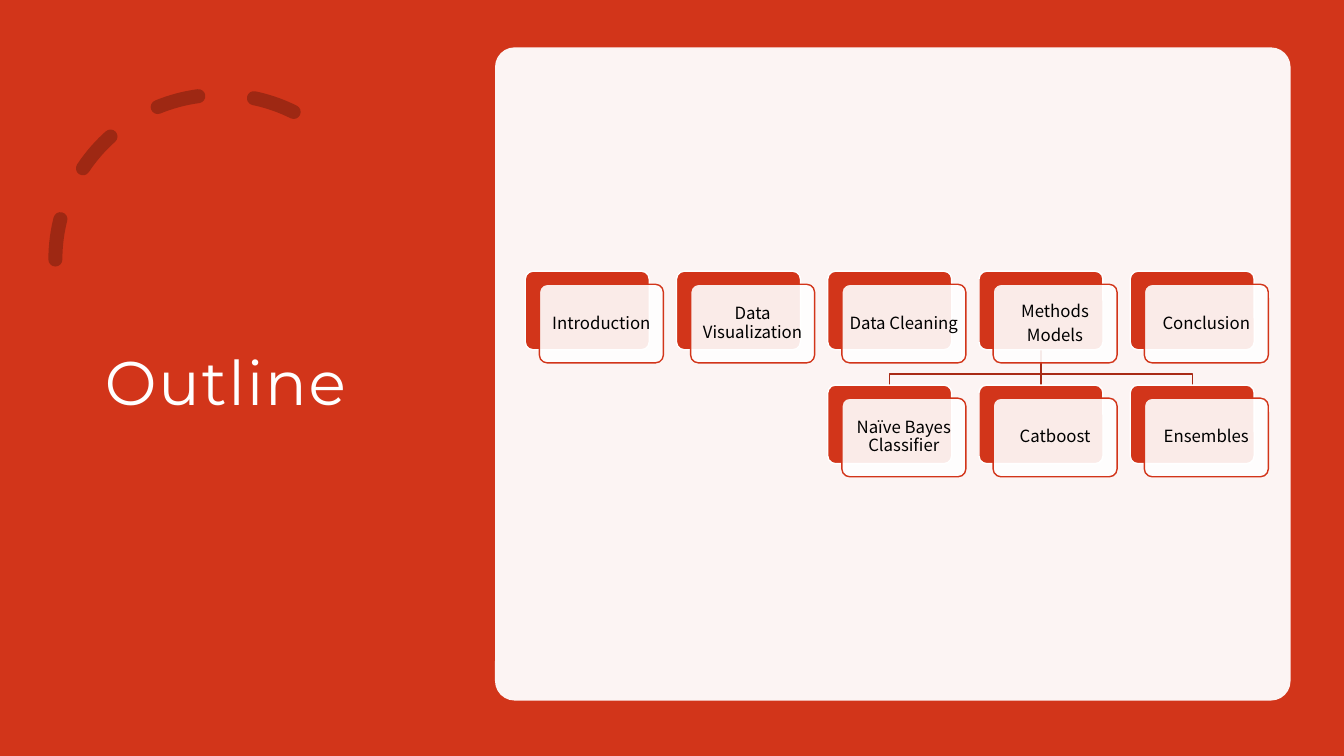
"""Build the outline slide with its two rows of topic cards."""
from dataclasses import dataclass

from lxml.etree import SubElement
from pptx import Presentation
from pptx.dml.color import RGBColor
from pptx.enum.dml import MSO_LINE as Dash
from pptx.enum.shapes import MSO_CONNECTOR as Link, MSO_SHAPE as Kind
from pptx.enum.text import MSO_ANCHOR as Anchor, PP_ALIGN as Align
from pptx.oxml.ns import qn
from pptx.shapes.autoshape import Shape
from pptx.slide import Slide
from pptx.util import Inches, Pt

RED, DARK, WHITE, BLACK = "D2351A", "9E2813", "FFFFFF", "000000"
LINE = "A82A15"
LEFT, TOP = 5.21, 2.69
STEP_X, STEP_Y = 1.5, 1.13
WIDE, HIGH = 1.23, 0.78
SHIFT_X, SHIFT_Y = 0.14, 0.13


@dataclass
class Topic:
    text: str
    col: int
    row: int = 0

    @property
    def left(self) -> float:
        return LEFT + self.col * STEP_X

    @property
    def top(self) -> float:
        return TOP + self.row * STEP_Y

    @property
    def mid(self) -> float:
        return self.left + WIDE / 2


METHODS = Topic("Methods\nModels", 3)
BAYES = Topic("Naïve Bayes Classifier", 2, 1)
BOOST = Topic("Catboost", 3, 1)
GROUP = Topic("Ensembles", 4, 1)
TOPICS = [
    Topic("Introduction", 0),
    Topic("Data Visualization", 1),
    Topic("Data Cleaning", 2),
    METHODS,
    BAYES,
    BOOST,
    GROUP,
    Topic("Conclusion", 4),
]


def color(code: str) -> RGBColor:
    return RGBColor.from_string(code)


def paint(shape: Shape, fill: str, line: str = "", alpha: int = 100) -> None:
    shape.shadow.inherit = False
    shape.fill.solid()
    shape.fill.fore_color.rgb = color(fill)
    if alpha < 100:
        tone = shape._element.spPr.find(qn("a:solidFill"))[0]
        SubElement(tone, qn("a:alpha")).set("val", str(alpha * 1000))
    if line:
        shape.line.color.rgb = color(line)
        shape.line.width = Pt(1)
    else:
        shape.line.fill.background()


def add_round(slide: Slide, left: float, top: float, wide: float,
              high: float, curve: float) -> Shape:
    shape = slide.shapes.add_shape(Kind.ROUNDED_RECTANGLE, Inches(left),
                                   Inches(top), Inches(wide), Inches(high))
    shape.adjustments[0] = curve
    return shape


def add_arc(slide: Slide) -> None:
    arc = slide.shapes.add_shape(Kind.ARC, Inches(0.55), Inches(0.94),
                                 Inches(3.27), Inches(3.27))
    arc.adjustments[0] = 146.13
    arc.adjustments[1] = 0
    arc.shadow.inherit = False
    arc.fill.background()
    arc.line.color.rgb = color(DARK)
    arc.line.width = Pt(10)
    arc.line.dash_style = Dash.DASH
    arc.line._get_or_add_ln().set("cap", "rnd")
    arc._element.spPr.xfrm.set("flipH", "1")


def add_title(slide: Slide) -> None:
    box = slide.shapes.add_textbox(Inches(0.92), Inches(0.7),
                                   Inches(3.23), Inches(6.09))
    frame = box.text_frame
    frame.text = "Outline"
    frame.word_wrap = True
    frame.vertical_anchor = Anchor.MIDDLE
    frame.margin_left = frame.margin_right = frame.margin_top = Inches(0.12)
    frame.margin_bottom = Inches(0.1)
    para = frame.paragraphs[0]
    para.line_spacing = 1.05
    font = para.runs[0].font
    font.name, font.size = "Montserrat", Pt(44)
    font.color.rgb = color(WHITE)
    font._element.set("spc", "130")


def add_elbow(slide: Slide, start: Topic, end: Topic) -> None:
    base, bend = start.top + HIGH, start.top + 1.02
    pen = slide.shapes.build_freeform(Inches(start.mid), Inches(base))
    pen.add_line_segments(
        [(Inches(x), Inches(y)) for x, y in
         ((start.mid, bend), (end.mid, bend), (end.mid, end.top))],
        close=False)
    elbow = pen.convert_to_shape()
    elbow.shadow.inherit = False
    elbow.fill.background()
    elbow.line.color.rgb = color(LINE)
    elbow.line.width = Pt(1)


def add_card(slide: Slide, topic: Topic) -> Shape:
    back = add_round(slide, topic.left, topic.top, WIDE, HIGH, 0.1)
    paint(back, RED, WHITE)
    front = add_round(slide, topic.left + SHIFT_X, topic.top + SHIFT_Y,
                      WIDE, HIGH, 0.1)
    paint(front, WHITE, RED, 90)
    frame = front.text_frame
    frame.text = topic.text
    frame.word_wrap = True
    frame.vertical_anchor = Anchor.MIDDLE
    frame.margin_left = frame.margin_right = Inches(0.04)
    frame.margin_top = frame.margin_bottom = Inches(0.04)
    for para in frame.paragraphs:
        para.alignment = Align.CENTER
        para.line_spacing = 0.9
        para.space_after = Pt(4.2)
        font = para.runs[0].font
        font.name, font.size = "Noto Sans CJK SC", Pt(12)
        font.color.rgb = color(BLACK)
    return back


def main() -> None:
    deck = Presentation()
    deck.slide_width, deck.slide_height = Inches(13.33), Inches(7.5)
    slide = deck.slides.add_slide(deck.slide_layouts[6])
    slide.background.fill.solid()
    slide.background.fill.fore_color.rgb = color(RED)
    add_arc(slide)
    add_title(slide)
    panel = add_round(slide, 4.91, 0.47, 7.89, 6.48, 0.03)
    paint(panel, WHITE, alpha=95)

    add_elbow(slide, METHODS, GROUP)
    stem = slide.shapes.add_connector(
        Link.STRAIGHT, Inches(METHODS.mid), Inches(METHODS.top + HIGH),
        Inches(BOOST.mid), Inches(BOOST.top))
    stem.line.color.rgb = color(LINE)
    stem.line.width = Pt(1)
    SubElement(stem._element.spPr, qn("a:effectLst"))
    add_elbow(slide, METHODS, BAYES)

    cards = {topic.text: add_card(slide, topic) for topic in TOPICS}
    stem.begin_connect(cards[METHODS.text], 2)
    stem.end_connect(cards[BOOST.text], 0)
    deck.save("out.pptx")


if __name__ == "__main__":
    main()
